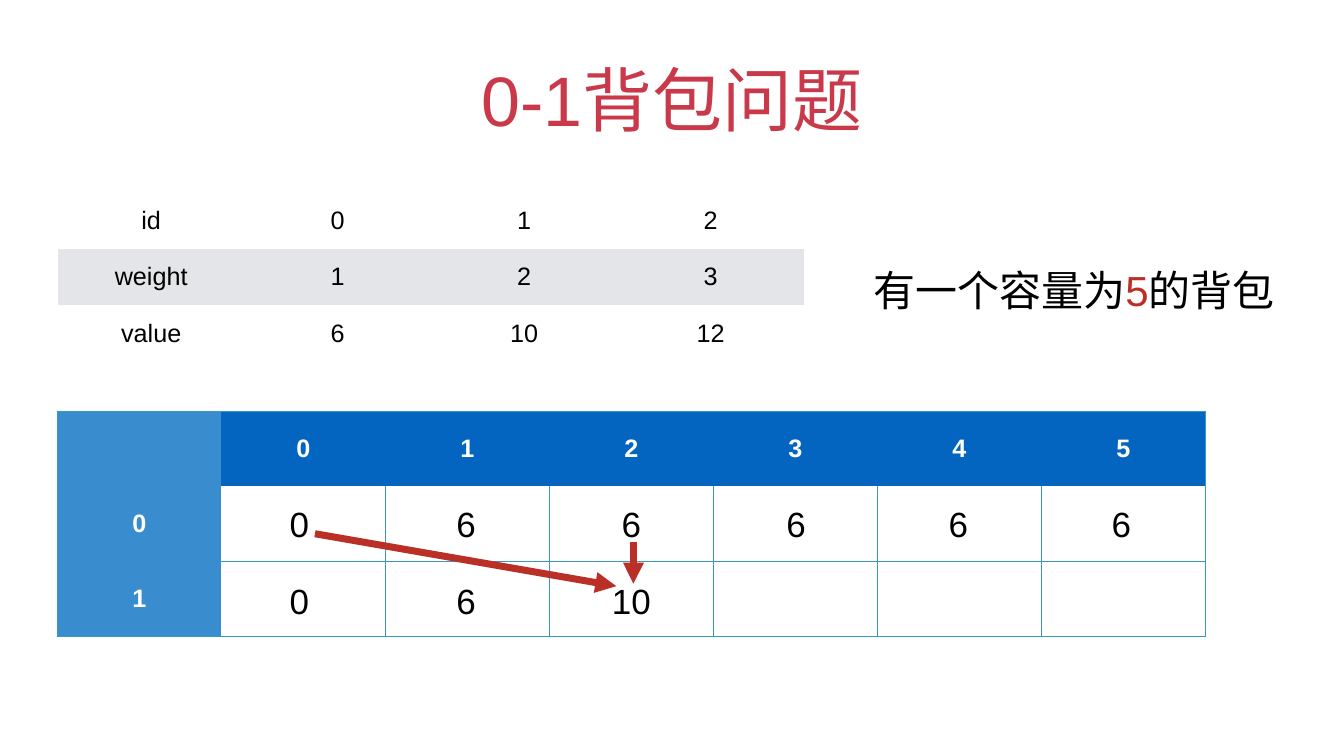
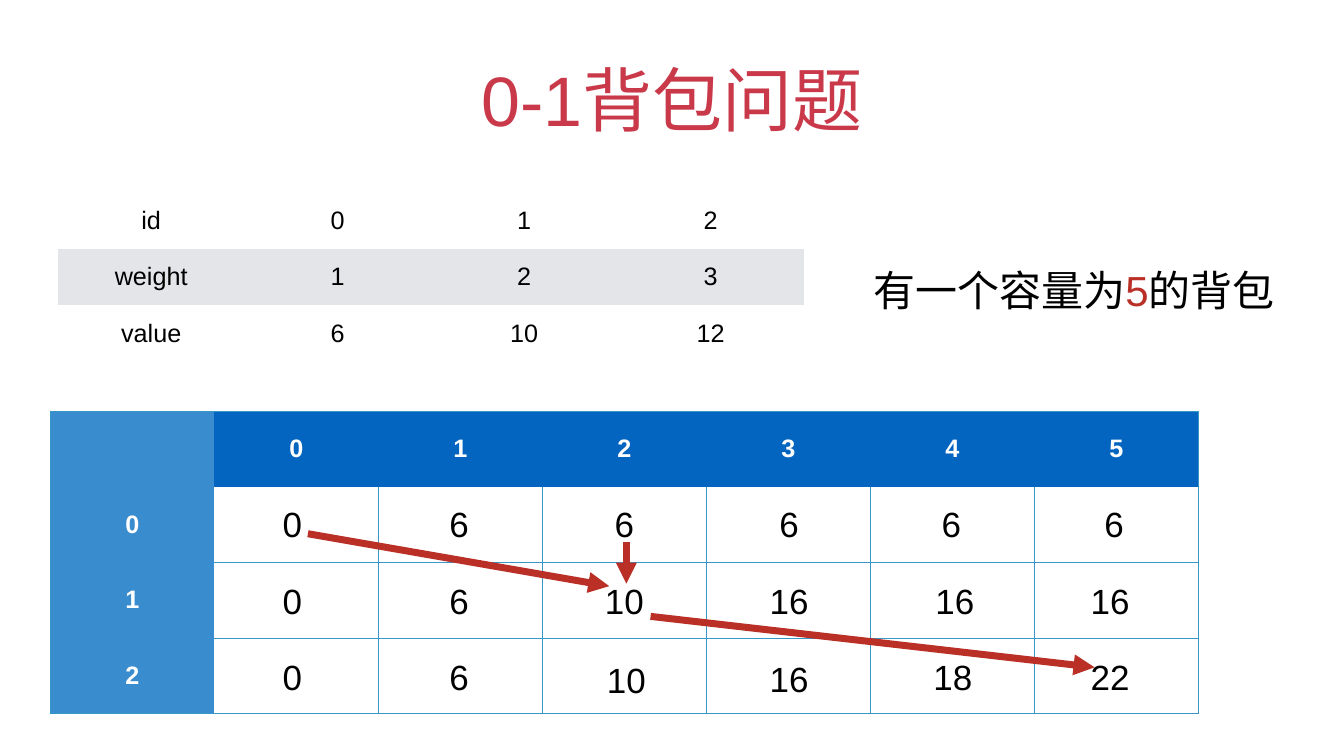
from lxml.etree import SubElement
from pptx import Presentation
from pptx.dml.color import RGBColor
from pptx.enum.shapes import MSO_CONNECTOR
from pptx.enum.text import MSO_ANCHOR, MSO_AUTO_SIZE, PP_ALIGN
from pptx.oxml.ns import qn
from pptx.util import Inches, Pt

WHITE = RGBColor(0xFF, 0xFF, 0xFF)
BLACK = RGBColor(0x00, 0x00, 0x00)
BAND_GREY = RGBColor(0xE3, 0xE5, 0xE8)
HEADER_BLUE = RGBColor(0x03, 0x65, 0xC0)
INDEX_BLUE = RGBColor(0x39, 0x8C, 0xCE)
GRID_BLUE = RGBColor(0x37, 0x97, 0xC6)
TITLE_RED = RGBColor(0xC9, 0x39, 0x4A)
ARROW_RED = RGBColor(0xBA, 0x30, 0x27)

FONT = "Arial"
NO_STYLE = "{2D5ABB26-0587-4C30-8999-92F81FD0307C}"
MARGIN = 0.06

TITLE = "0-1背包问题"
CAPACITY = [("有一个容量为", BLACK), ("5", ARROW_RED), ("的背包", BLACK)]
ITEMS = [
    ["id", "0", "1", "2"],
    ["weight", "1", "2", "3"],
    ["value", "6", "10", "12"],
]
CAPACITIES = ["0", "1", "2", "3", "4", "5"]

GRID_TOP, GRID_WIDTH = 8.16, 22.78
VALUE_TOP, VALUE_STEP, VALUE_HEIGHT = 9.92, 1.52, 0.94
VALUE_CENTERS = [4.8, 8.11, 11.39, 14.66, 17.88, 21.11]
VALUE_WIDTHS = {1: 0.51, 2: 0.9}

ARROWS_TO_10 = [(11.43, 10.75, 11.43, 11.58), (5.11, 10.59, 11.09, 11.63)]
ARROW_TO_22 = (11.91, 12.23, 20.72, 13.24)

STEPS = [
    {
        "left": 1.14,
        "row_height": 1.49,
        "values": [["0", "6", "6", "6", "6", "6"], ["0", "6", "10"]],
        "nudges": {},
        "arrows": ARROWS_TO_10,
    },
    {
        "left": 1,
        "row_height": 1.5,
        "values": [
            ["0", "6", "6", "6", "6", "6"],
            ["0", "6", "10", "16", "16", "16"],
            ["0", "6", "10", "16", "18", "22"],
        ],
        "nudges": {
            (1, 4): (0.07, 0), (1, 5): (-0.08, 0), (2, 2): (0.04, 0.05),
            (2, 3): (0, 0.04), (2, 4): (0.03, 0), (2, 5): (-0.08, 0),
        },
        "arrows": ARROWS_TO_10 + [ARROW_TO_22],
    },
]


def write_text(frame, text, size=36, color=BLACK, bold=False, align=PP_ALIGN.CENTER, spacing=None):
    """Fill a text frame with one paragraph, given as a string or (text, colour) runs."""
    paragraph = frame.paragraphs[0]
    paragraph.alignment = align
    if spacing:
        paragraph.line_spacing = spacing
    for part, part_color in [(text, color)] if isinstance(text, str) else text:
        run = paragraph.add_run()
        run.text = part
        run.font.name = FONT
        run.font.size = Pt(size)
        run.font.bold = bold
        run.font.color.rgb = part_color


def set_margins(target):
    """Give a text frame or table cell the shared inner margins."""
    for side in ("left", "right", "top", "bottom"):
        setattr(target, f"margin_{side}", Inches(MARGIN))


def add_text_box(slide, text, left, top, width, height, wrap=False, **text_format):
    """Add a growing, vertically centred text box."""
    frame = slide.shapes.add_textbox(*map(Inches, (left, top, width, height))).text_frame
    set_margins(frame)
    frame.word_wrap = wrap
    frame.auto_size = MSO_AUTO_SIZE.SHAPE_TO_FIT_TEXT
    frame.vertical_anchor = MSO_ANCHOR.MIDDLE
    write_text(frame, text, **text_format)


def set_borders(cell, widths):
    """Draw the cell's left, right, top and bottom borders; zero means none."""
    properties = cell._tc.get_or_add_tcPr()
    for side, width in zip("LRTB", widths):
        if width:
            line = SubElement(properties, qn(f"a:ln{side}"), w=str(Pt(width)))
            fill = SubElement(line, qn("a:solidFill"))
            SubElement(fill, qn("a:srgbClr"), val=str(GRID_BLUE))


def add_table(slide, rows, left, top, width, row_height, style):
    """Add a table whose style function gives fill, text format and borders per cell."""
    shape = slide.shapes.add_table(
        len(rows), len(rows[0]), Inches(left), Inches(top),
        Inches(width), Inches(row_height * len(rows)),
    )
    for style_id in shape.element.iter(qn("a:tableStyleId")):
        style_id.text = NO_STYLE
    for row_index, row in enumerate(rows):
        for column_index, text in enumerate(row):
            cell = shape.table.cell(row_index, column_index)
            fill, text_format, borders = style(row_index, column_index)
            set_borders(cell, borders)
            cell.fill.solid()
            cell.fill.fore_color.rgb = fill
            set_margins(cell)
            cell.vertical_anchor = MSO_ANCHOR.MIDDLE
            if text:
                write_text(cell.text_frame, text, **text_format)


def item_style(row, column):
    """Style the item table with a grey middle row."""
    return BAND_GREY if row % 2 else WHITE, {}, (0, 0, 0, 0)


def add_value_grid(slide, step):
    """Add the grid of best values with its header row and index column."""
    values = step["values"]
    last_row, last_column = len(values), len(CAPACITIES)
    rows = [[""] + CAPACITIES]
    rows += [[str(index)] + [""] * last_column for index in range(last_row)]

    def grid_style(row, column):
        body = int(row > 0 and column > 0)
        fill = INDEX_BLUE if column == 0 else WHITE if body else HEADER_BLUE
        borders = (
            2 if column == 0 else body * (column > 1),
            2 if column == last_column else body,
            2 if row == 0 else body * (row > 1),
            2 if row == last_row else body,
        )
        return fill, {"color": WHITE, "bold": True}, borders

    add_table(slide, rows, step["left"], GRID_TOP, GRID_WIDTH, step["row_height"], grid_style)


def add_values(slide, step):
    """Place the numbers over the body of the grid."""
    for row, values in enumerate(step["values"]):
        for column, value in enumerate(values):
            shift, drop = step["nudges"].get((row, column), (0, 0))
            width = VALUE_WIDTHS[len(value)]
            left = step["left"] + VALUE_CENTERS[column] + shift - width / 2
            top = VALUE_TOP + row * VALUE_STEP + drop
            add_text_box(slide, value, left, top, width, VALUE_HEIGHT, size=50)


def add_arrow(slide, offset, start_x, start_y, end_x, end_y):
    """Add a thick red arrow, measured from the grid's left edge."""
    ends = map(Inches, (offset + start_x, start_y, offset + end_x, end_y))
    connector = slide.shapes.add_connector(MSO_CONNECTOR.STRAIGHT, *ends)
    connector.line.color.rgb = ARROW_RED
    connector.line.width = Pt(10)
    properties = connector.element.spPr
    SubElement(properties.find(qn("a:ln")), qn("a:tailEnd"), type="triangle")
    SubElement(properties, qn("a:effectLst"))


def add_title(slide):
    """Move and format the title placeholder."""
    title = slide.shapes.title
    title.left, title.top, title.width, title.height = map(Inches, (1.94, 0.62, 22.78, 2.22))
    frame = title.text_frame
    set_margins(frame)
    frame.auto_size = MSO_AUTO_SIZE.NONE
    frame.vertical_anchor = MSO_ANCHOR.BOTTOM
    write_text(frame, TITLE, size=100, color=TITLE_RED)


def main():
    """Build one slide per step of the knapsack table."""
    presentation = Presentation()
    presentation.slide_width = Inches(26.67)
    presentation.slide_height = Inches(15)
    for step in STEPS:
        slide = presentation.slides.add_slide(presentation.slide_layouts[5])
        add_title(slide)
        add_table(slide, ITEMS, 1.15, 3.82, 14.8, 1.12, item_style)
        add_value_grid(slide, step)
        add_text_box(slide, CAPACITY, 17.27, 4.86, 8.44, 1.28, wrap=True,
                     size=60, align=PP_ALIGN.LEFT, spacing=1.5)
        add_values(slide, step)
        for arrow in step["arrows"]:
            add_arrow(slide, step["left"], *arrow)
    presentation.save("out.pptx")


if __name__ == "__main__":
    main()
